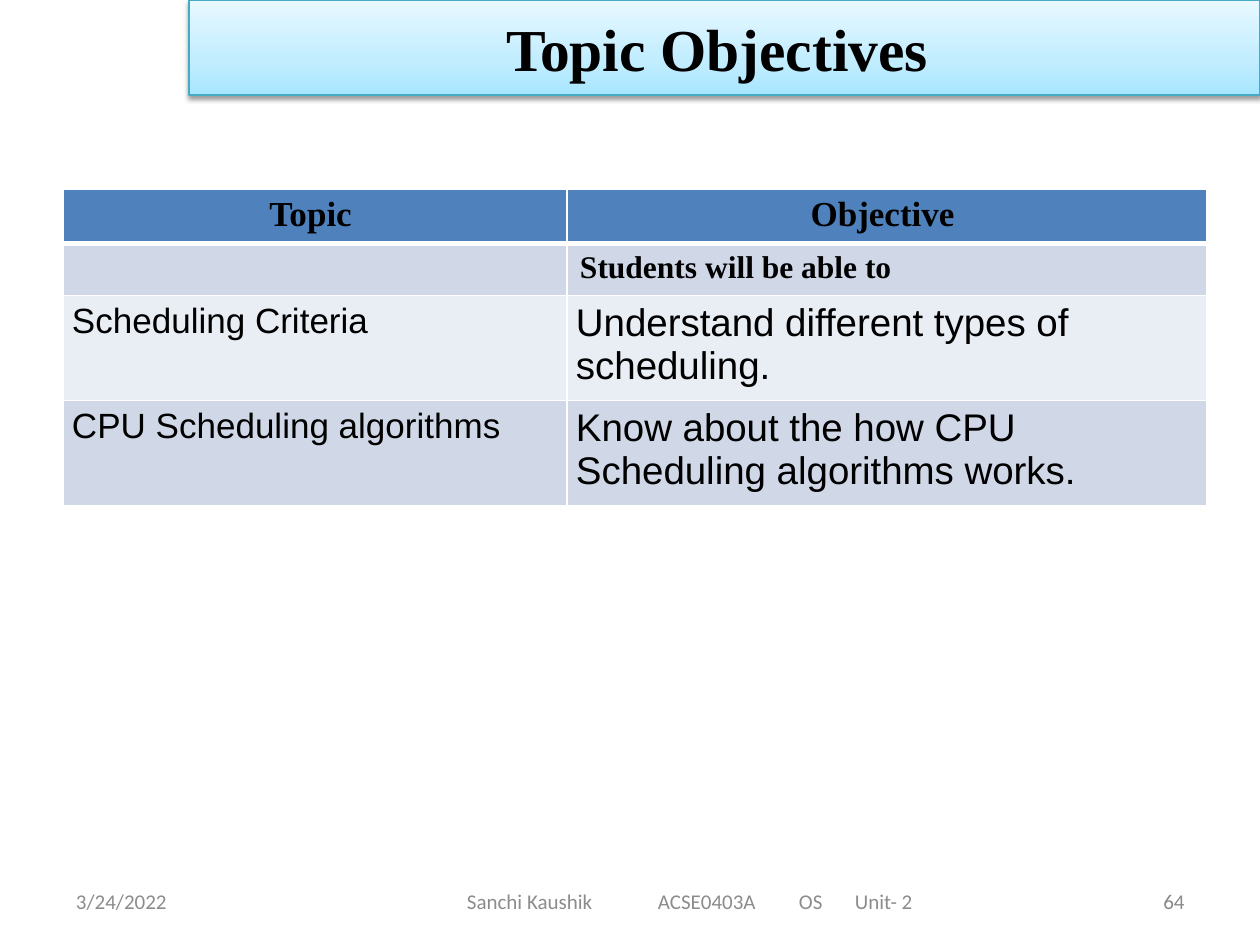
from dataclasses import dataclass
from typing import Optional

from lxml.etree import SubElement
from pptx import Presentation
from pptx.dml.color import RGBColor
from pptx.enum.text import MSO_ANCHOR as Anchor, PP_ALIGN as Align
from pptx.oxml import parse_xml
from pptx.oxml.ns import nsdecls, qn
from pptx.util import Emu, Pt

EMU_PER_PX = 914400 / 126
SERIF, SANS, FOOTER_FONT = "Times New Roman", "Arial", "Calibri"
BLACK, WHITE = "000000", "FFFFFF"
BLUE, BAND_DARK, BAND_LIGHT = "4F81BD", "D0D8E8", "E9EDF4"


@dataclass(frozen=True)
class TextStyle:
    """Font and alignment of one paragraph."""
    size: int
    font: str
    color: str = BLACK
    bold: bool = False
    align: Align = Align.LEFT


@dataclass(frozen=True)
class FooterItem:
    """One text in the footer row; tab stops are measured from the inset."""
    text: str
    left: int
    width: int
    align: Align
    color: str = "8C8C8C"
    inset: int = 13
    tabs: tuple[int, ...] = ()


@dataclass(frozen=True)
class TableRow:
    """One table row with its height, fill and cell styles."""
    texts: tuple[str, str]
    styles: tuple[TextStyle, TextStyle]
    height: int
    fill: str
    inset: int
    top_line: int = 1
    bottom_line: int = 1


TITLE = TextStyle(34, SERIF, bold=True, align=Align.CENTER)
HEADER = TextStyle(20, SERIF, bold=True, align=Align.CENTER)
INTRO = TextStyle(18, SERIF, bold=True)
TOPIC = TextStyle(20, SANS)
OBJECTIVE = TextStyle(22, SANS)

COLUMN_WIDTHS = (504, 640)
ROWS = (
    TableRow(("Topic ", "Objective "), (HEADER, HEADER), 54, BLUE, 13, bottom_line=3),
    TableRow(("", "Students will be able to"), (INTRO, INTRO), 52, BAND_DARK, 13, top_line=3),
    TableRow(("Scheduling Criteria", "Understand different types of scheduling."),
             (TOPIC, OBJECTIVE), 105, BAND_LIGHT, 9),
    TableRow(("CPU Scheduling algorithms", "Know about the how CPU Scheduling algorithms works."),
             (TOPIC, OBJECTIVE), 105, BAND_DARK, 9),
)
FOOTER = (
    FooterItem("3/24/2022", 63, 294, Align.LEFT),
    FooterItem("Sanchi Kaushik\tACSE0403A\tOS\tUnit- 2", 347, 693, Align.LEFT,
               inset=120, tabs=(191, 332, 388)),
    FooterItem("64", 903, 294, Align.RIGHT, color="898989"),
)


def px(length: int) -> Emu:
    """Turn pixels into EMU."""
    return Emu(round(length * EMU_PER_PX))


def rgb(color: str) -> RGBColor:
    """Turn a hex string into a colour."""
    return RGBColor.from_string(color)


def place(box, left: int, top: int, width: int, height: int) -> None:
    """Move and size a shape."""
    box.left, box.top, box.width, box.height = map(px, (left, top, width, height))


def write(frame, text: str, style: TextStyle, tabs: Optional[tuple[int, ...]] = None) -> None:
    """Put one styled paragraph into a text frame."""
    frame.text = text
    frame.word_wrap = True
    para = frame.paragraphs[0]
    para.alignment = style.align
    if tabs:
        stops = SubElement(para._p.get_or_add_pPr(), qn("a:tabLst"))
        for stop in tabs:
            SubElement(stops, qn("a:tab"), pos=str(px(stop)), algn="l")
    for font in [para.font] + [span.font for span in para.runs]:
        font.size, font.name, font.bold = Pt(style.size), style.font, style.bold
        font.color.rgb = rgb(style.color)


def add_title(page) -> None:
    """Style the title placeholder as a gradient banner with a shadow."""
    banner = page.shapes.title
    place(banner, 189, 0, 1071, 95)
    write(banner.text_frame, "Topic Objectives ", TITLE)
    banner.text_frame.vertical_anchor = Anchor.MIDDLE
    stops = "".join(
        f'<a:gs pos="{position * 1000}"><a:srgbClr val="{color}"/></a:gs>'
        for position, color in ((0, "A7E6FF"), (35, "C1EDFF"), (100, "E7F8FF")))
    properties = banner._element.spPr
    properties.append(parse_xml(
        f'<a:gradFill {nsdecls("a")} rotWithShape="1"><a:gsLst>{stops}</a:gsLst>'
        '<a:lin ang="16200000" scaled="0"/></a:gradFill>'))
    banner.line.color.rgb = rgb("46AAC5")
    banner.line.width = Pt(0.75)
    properties.append(parse_xml(
        f'<a:effectLst {nsdecls("a")}><a:outerShdw blurRad="{Pt(3.1)}" dist="{Pt(1.6)}" '
        'dir="5400000" rotWithShape="0"><a:srgbClr val="000000"><a:alpha val="38000"/>'
        '</a:srgbClr></a:outerShdw></a:effectLst>'))


def add_borders(cell, top: int, bottom: int) -> None:
    """Draw white lines of the given point widths around a cell."""
    properties = cell._tc.get_or_add_tcPr()
    for side, width in (("L", 1), ("R", 1), ("T", top), ("B", bottom)):
        line = SubElement(properties, qn(f"a:ln{side}"), w=str(Pt(width)))
        SubElement(SubElement(line, qn("a:solidFill")), qn("a:srgbClr"), val=WHITE)


def add_objectives(page) -> None:
    """Add the table of topics and objectives."""
    height = sum(row.height for row in ROWS)
    table = page.shapes.add_table(
        len(ROWS), len(COLUMN_WIDTHS), px(63), px(189), px(sum(COLUMN_WIDTHS)), px(height)).table
    for column, width in zip(table.columns, COLUMN_WIDTHS):
        column.width = px(width)
    for line, row in zip(table.rows, ROWS):
        line.height = px(row.height)
        for cell, text, style in zip(line.cells, row.texts, row.styles):
            write(cell.text_frame, text, style)
            cell.margin_left = cell.margin_right = px(row.inset)
            cell.vertical_anchor = Anchor.TOP
            add_borders(cell, row.top_line, row.bottom_line)
            cell.fill.solid()
            cell.fill.fore_color.rgb = rgb(row.fill)


def add_footer(page, item: FooterItem) -> None:
    """Add one footer text."""
    box = page.shapes.add_textbox(px(item.left), px(876), px(item.width), px(50))
    style = TextStyle(12, FOOTER_FONT, item.color, align=item.align)
    write(box.text_frame, item.text, style, item.tabs)
    box.text_frame.margin_left = px(item.inset)
    box.text_frame.vertical_anchor = Anchor.MIDDLE


def main() -> None:
    """Build the slide and save it."""
    deck = Presentation()
    deck.slide_width, deck.slide_height = px(1260), px(945)
    page = deck.slides.add_slide(deck.slide_layouts[5])
    for item in FOOTER:
        add_footer(page, item)
    add_title(page)
    add_objectives(page)
    deck.save("out.pptx")


if __name__ == "__main__":
    main()
